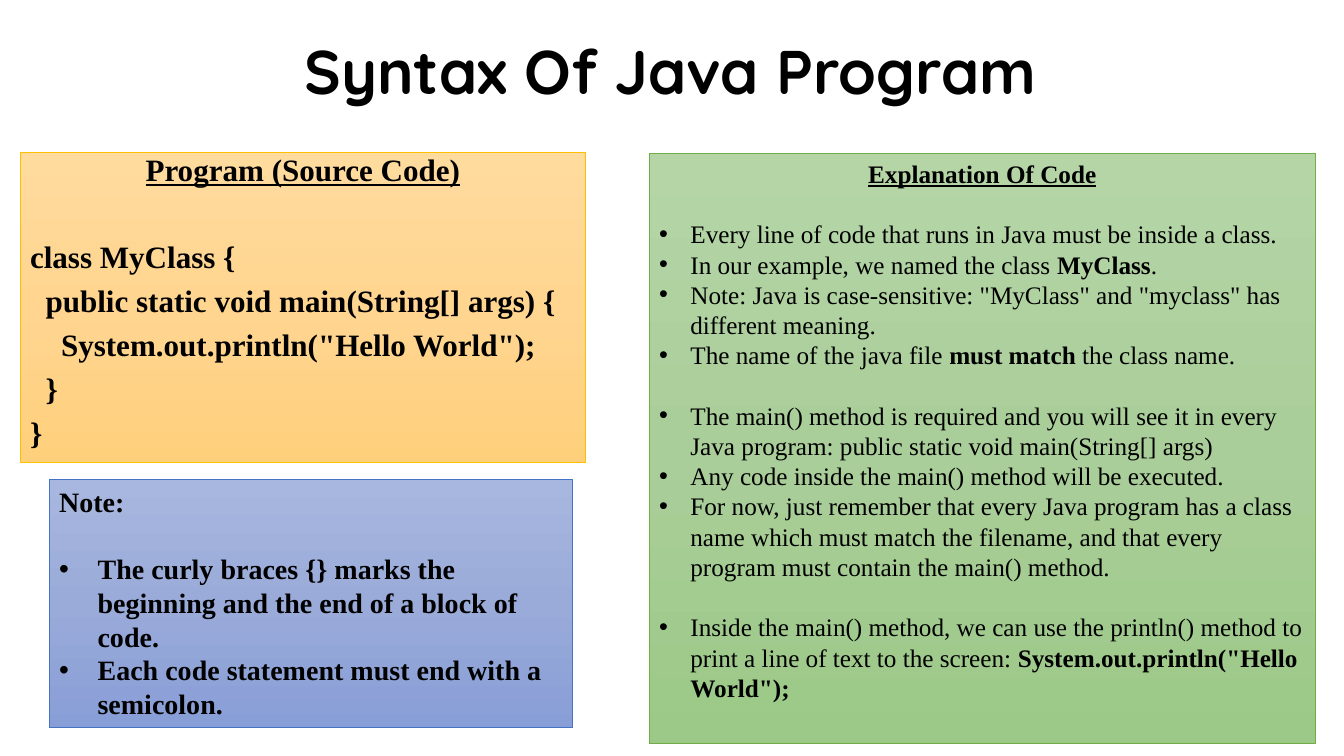
"""Build a slide that shows and explains the syntax of a Java program."""
from copy import deepcopy

from lxml.etree import SubElement
from pptx import Presentation
from pptx.dml.color import RGBColor
from pptx.enum.shapes import MSO_SHAPE as Shape
from pptx.enum.text import MSO_ANCHOR as Anchor, PP_ALIGN as Align
from pptx.oxml.ns import qn
from pptx.util import Cm, Pt

BLACK = RGBColor(0x00, 0x00, 0x00)
AMBER = RGBColor(0xFF, 0xC0, 0x00)
AMBER_STOPS = [RGBColor(0xFF, 0xDB, 0x9E), RGBColor(0xFF, 0xD5, 0x90), RGBColor(0xFF, 0xD0, 0x7C)]
GREEN = RGBColor(0x70, 0xAD, 0x47)
GREEN_STOPS = [RGBColor(0xB5, 0xD5, 0xA7), RGBColor(0xAA, 0xCE, 0x9A), RGBColor(0x9C, 0xC9, 0x87)]
BLUE = RGBColor(0x44, 0x72, 0xC4)
BLUE_STOPS = [RGBColor(0xA8, 0xB7, 0xDF), RGBColor(0x9A, 0xAB, 0xD9), RGBColor(0x88, 0x9E, 0xD7)]
SERIF = "Times New Roman"


def add_line(frame, *parts, size, font=SERIF, bold=False, underline=False,
             align=Align.LEFT, spacing=1.0, before=0, indent=0, bullet=False):
    """Add a paragraph of (text, bold) pairs or plain strings to the frame."""
    line = frame.paragraphs[0] if not frame.text else frame.add_paragraph()
    line.alignment = align
    line.line_spacing = spacing
    line.space_before = Pt(before)
    properties = line._p.get_or_add_pPr()
    properties.set("marL", str(Cm(indent)))
    properties.set("indent", str(Cm(-indent) if bullet else 0))
    if bullet:
        SubElement(properties, qn("a:buFont"), typeface="Arial")
        SubElement(properties, qn("a:buChar"), char="•")
    for part in parts:
        text, strong = (part, bold) if isinstance(part, str) else part
        run = line.add_run()
        run.text = text
        run.font.name = font
        run.font.size = Pt(size)
        run.font.bold = strong
        run.font.underline = underline
        run.font.color.rgb = BLACK


def add_panel(left, top, width, height, stops, outline):
    """Add a rectangle with a vertical gradient and return its text frame."""
    panel = slide.shapes.add_shape(Shape.RECTANGLE, Cm(left), Cm(top), Cm(width), Cm(height))
    panel.shadow.inherit = False
    panel.fill.gradient()
    panel.fill.gradient_angle = 270
    first_stop = panel._element.spPr.find(".//" + qn("a:gs"))
    first_stop.addnext(deepcopy(first_stop))
    for stop, color, position in zip(panel.fill.gradient_stops, stops, (0, 0.5, 1)):
        stop.color.rgb = color
        stop.position = position
    panel.line.color.rgb = outline
    panel.line.width = Pt(0.5)
    panel.text_frame.word_wrap = True
    panel.text_frame.vertical_anchor = Anchor.TOP
    return panel.text_frame


deck = Presentation()
deck.slide_width, deck.slide_height = Cm(33.87), Cm(19.05)
slide = deck.slides.add_slide(deck.slide_layouts[6])

title = slide.shapes.add_textbox(Cm(7.42), Cm(0.76), Cm(19.05), Cm(2.24)).text_frame
title.word_wrap = True
title.vertical_anchor = Anchor.MIDDLE
add_line(title, "Syntax Of Java Program", size=44, font="Quicksand", bold=True, spacing=0.9)

program = add_panel(0.51, 3.84, 14.25, 7.82, AMBER_STOPS, AMBER)
add_line(program, "Program (Source Code)", size=22.2, bold=True, underline=True,
         align=Align.CENTER, spacing=0.8, before=10)
code = [
    ("class MyClass {", 0),
    ("public static void main(String[] args) {", 1),
    ('System.out.println("Hello World");', 2),
    ("}", 1),
    ("}", 0),
]
for number, (statement, depth) in enumerate(code):
    add_line(program, statement, size=22.2, bold=True, spacing=0.8,
             before=10 if number else 41.3, indent=0.39 * depth)

explanation = add_panel(16.36, 3.86, 16.79, 14.88, GREEN_STOPS, GREEN)
add_line(explanation, "Explanation Of Code", size=18, bold=True, underline=True, align=Align.CENTER)
topics = [
    [
        ["Every line of code that runs in Java must be inside a class."],
        ["In our example, we named the class ", ("MyClass", True), "."],
        ['Note: Java is case-sensitive: "MyClass" and "myclass" has different meaning.'],
        ["The name of the java file ", ("must match ", True), "the class name."],
    ],
    [
        ["The main() method is required and you will see it in every Java program: "
         "public static void main(String[] args)"],
        ["Any code inside the main() method will be executed."],
        ["For now, just remember that every Java program has a class name which must match "
         "the filename, and that every program must contain the main() method."],
    ],
    [
        ["Inside the main() method, we can use the println() method to print a line of text "
         "to the screen: ", ('System.out.println("Hello World");', True)],
    ],
]
for topic in topics:
    for number, point in enumerate(topic):
        add_line(explanation, *point, size=18, before=0 if number else 21.6,
                 indent=0.79, bullet=True)

note = add_panel(1.24, 12.09, 13.18, 6.25, BLUE_STOPS, BLUE)
add_line(note, "Note:", size=20, bold=True)
rules = [
    "The curly braces {} marks the beginning and the end of a block of code.",
    "Each code statement must end with a semicolon.",
]
for number, rule in enumerate(rules):
    add_line(note, rule, size=20, bold=True, before=0 if number else 24,
             indent=0.97, bullet=True)

deck.save("out.pptx")
